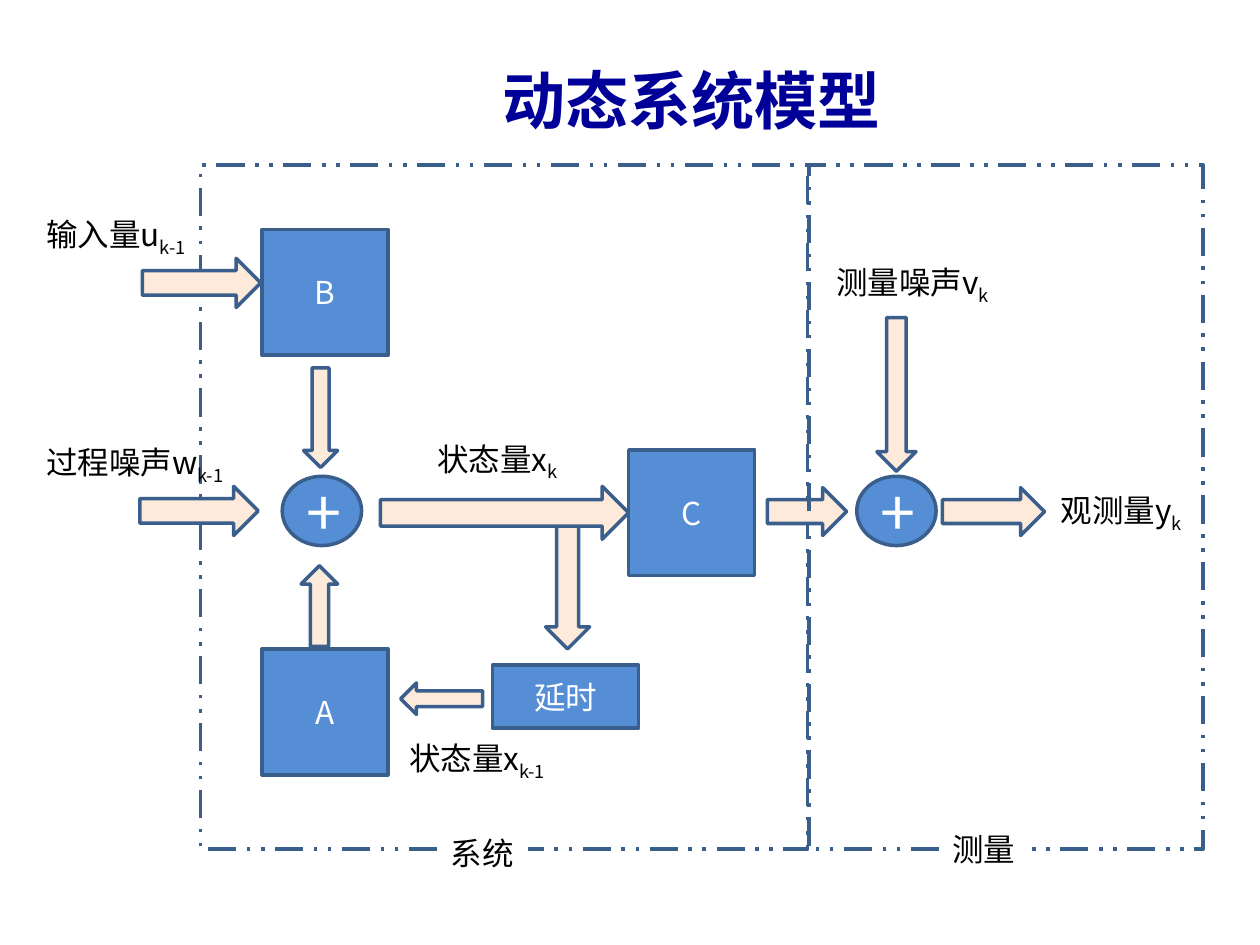
import pptx
import pptx.util
import pptx.dml.color
import pptx.enum.dml
import pptx.enum.shapes
import pptx.enum.text
import pptx.oxml
import pptx.oxml.ns

SCALE = 9144  # 100 px to the inch
SANS = "Noto Sans CJK SC"
COLORS = {
    "line": "3A5F8C",
    "block": "558ED5",
    "arrow": "FDEADA",
    "white": "FFFFFF",
    "black": "000000",
    "title": "000099",
}
KINDS = pptx.enum.shapes.MSO_SHAPE
ALIGN = pptx.enum.text.PP_ALIGN
ANCHOR = pptx.enum.text.MSO_ANCHOR


def px(*sizes):
    return [pptx.util.Emu(size * SCALE) for size in sizes]


def color(name):
    return pptx.dml.color.RGBColor.from_string(COLORS[name])


class Board:
    """Holds the style and the current slide."""

    def __init__(self, slide):
        self.slide = slide

    def style(self, run, size, tint, face=SANS, bold=False):
        font = run.font
        font.size, font.bold, font.name = pptx.util.Pt(size), bold, face
        font.color.rgb = color(tint)
        east = pptx.oxml.parse_xml(
            f'<a:ea {pptx.oxml.ns.nsdecls("a")} typeface="{SANS}"/>')
        run._r.rPr.find(pptx.oxml.ns.qn("a:latin")).addnext(east)

    def fit(self, frame):
        """Let the box grow with its unwrapped text."""
        frame.word_wrap = False
        frame.auto_size = pptx.enum.text.MSO_AUTO_SIZE.SHAPE_TO_FIT_TEXT

    def shape(self, kind, box, fill=None, line="line"):
        item = self.slide.shapes.add_shape(kind, *px(*box))
        item.shadow.inherit = False
        if fill:
            item.fill.solid()
            item.fill.fore_color.rgb = color(fill)
        else:
            item.fill.background()
        if line:
            item.line.color.rgb = color(line)
            item.line.width = pptx.util.Pt(2)
        else:
            item.line.fill.background()
        return item

    def zone(self, box, flip=False):
        item = self.shape(KINDS.RECTANGLE, box)
        item.line.dash_style = pptx.enum.dml.MSO_LINE.DASH_DOT_DOT
        if flip:
            item._element.spPr.xfrm.set("flipH", "1")

    def block(self, text, box, kind=KINDS.RECTANGLE, size=18):
        frame = self.shape(kind, box, "block").text_frame
        frame.text = text
        frame.vertical_anchor = ANCHOR.MIDDLE
        frame.paragraphs[0].alignment = ALIGN.CENTER
        self.style(frame.paragraphs[0].runs[0], size, "white")

    def sum(self, left):
        self.block("+", (left, 378, 63, 55), KINDS.OVAL, 36)

    def arrow(self, kind, box, turn=0):
        self.shape(kind, box, "arrow").rotation = turn

    def label(self, text, sub, box):
        frame = self.slide.shapes.add_textbox(*px(*box)).text_frame
        self.fit(frame)
        frame.text = text
        line = frame.paragraphs[0]
        line.add_run().text = sub
        for run in line.runs:
            self.style(run, 18, "black")
        line.runs[1].font._element.set("baseline", "-25000")

    def caption(self, text, box):
        """Name a zone on its lower border."""
        frame = self.shape(KINDS.RECTANGLE, box, "white", None).text_frame
        self.fit(frame)
        frame.text = text
        frame.vertical_anchor = ANCHOR.TOP
        frame.paragraphs[0].alignment = ALIGN.LEFT
        self.style(frame.paragraphs[0].runs[0], 18, "black", "Calibri")

    def title(self, text, box):
        item = self.slide.shapes.title
        item.left, item.top, item.width, item.height = px(*box)
        frame = item.text_frame
        self.fit(frame)
        frame.text = text
        frame.vertical_anchor = ANCHOR.TOP
        frame.paragraphs[0].alignment = ALIGN.LEFT
        self.style(frame.paragraphs[0].runs[0], 36, "title", bold=True)


def main():
    deck = pptx.Presentation()
    deck.slide_width, deck.slide_height = px(1000, 750)
    board = Board(deck.slides.add_slide(deck.slide_layouts[5]))
    right, down = KINDS.RIGHT_ARROW, KINDS.DOWN_ARROW

    board.title("动态系统模型", (389, 44, 323, 71))
    board.zone((159, 131, 482, 543))
    board.arrow(down, (433, 410, 35, 105))

    for text, left, top in (("B", 208, 182), ("A", 208, 515), ("C", 499, 357)):
        board.block(text, (left, top, 100, 100))
    board.block("延时", (391, 528, 116, 50))
    for left in (224, 680):
        board.sum(left)

    for kind, box, turn in (
        (right, (113, 205, 94, 39), 0),
        (right, (111, 386, 94, 39), 0),
        (down, (241, 292, 27, 79), 0),
        (down, (239, 449, 29, 64), 180),
        (right, (302, 386, 197, 42), 0),
        (right, (318, 542, 65, 25), 180),
        (right, (609, 387, 63, 38), 0),
        (down, (696, 252, 31, 122), 0),
        (right, (748, 387, 81, 38), 0),
    ):
        board.arrow(kind, box, turn)

    for text, sub, left, top, width in (
        ("输入量u", "k-1", 27, 166, 137),
        ("过程噪声w", "k-1", 27, 347, 166),
        ("状态量x", "k-1", 315, 582, 134),
        ("状态量x", "k", 337, 344, 118),
        ("测量噪声v", "k", 654, 204, 144),
        ("观测量y", "k", 832, 385, 118),
    ):
        board.label(text, sub, (left, top, width, 40))

    board.caption("系统", (348, 657, 71, 40))
    board.zone((642, 131, 313, 543), flip=True)
    board.caption("测量", (746, 654, 71, 40))
    deck.save("out.pptx")


if __name__ == "__main__":
    main()
